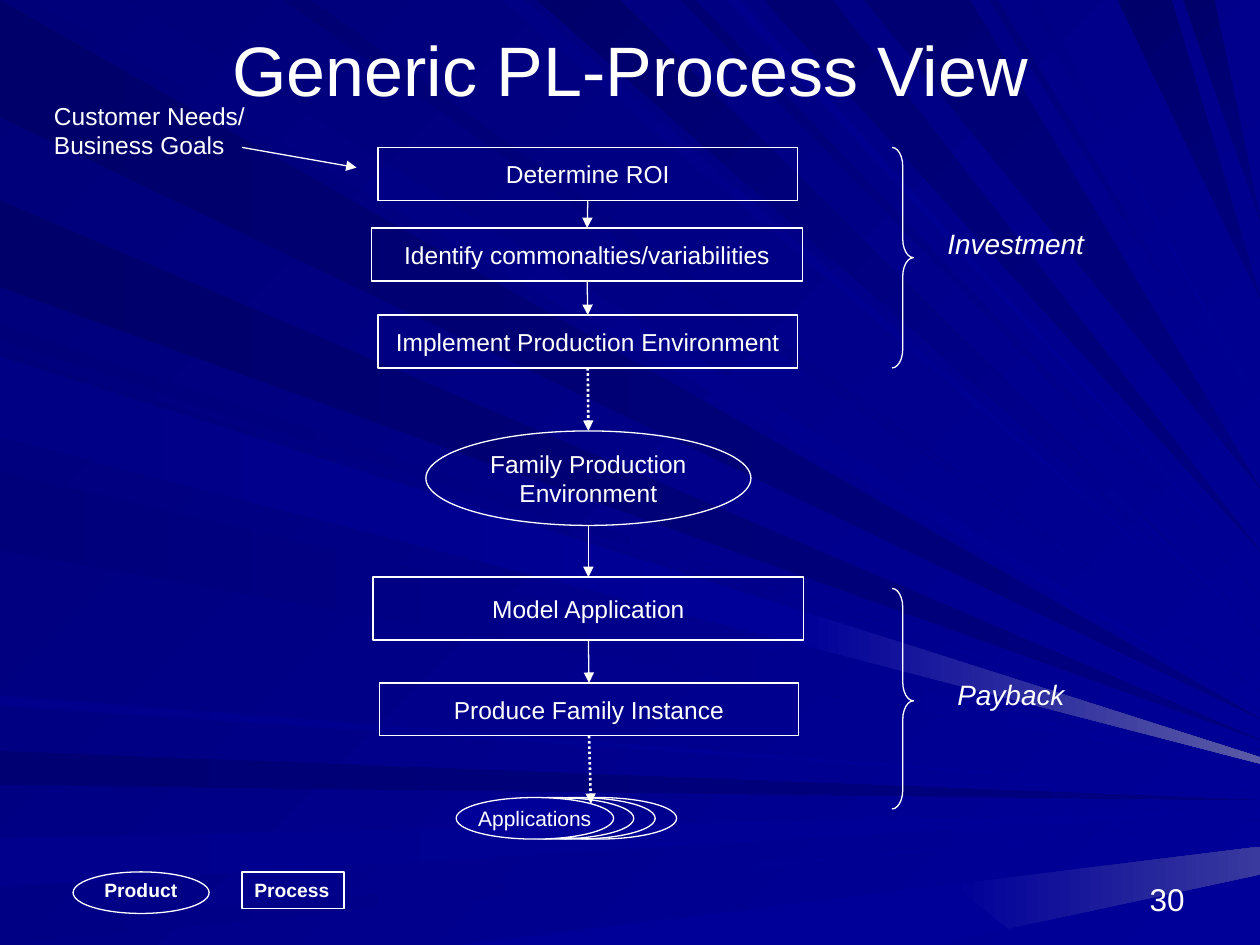
"""Build the slide with the generic product line process on a blue ray background."""
from itertools import pairwise
from math import sqrt

from lxml import etree
from pptx import Presentation
from pptx import util as u
from pptx.dml.color import RGBColor
from pptx.enum import dml, shapes, text
from pptx.oxml.ns import qn

COLORS = {"white": "FFFFFF", "night": "000078", "blue": "000099", "navy": "000080",
          "deep": "00006B", "dusk": "000073", "mid": "00007B", "soft": "000085",
          "pale": "00008C", "glow": "5A5AA6", "haze": "39399E"}
RECTANGLE = shapes.MSO_SHAPE.RECTANGLE
OVAL = shapes.MSO_SHAPE.OVAL
LEFT, CENTER, RIGHT = text.PP_ALIGN.LEFT, text.PP_ALIGN.CENTER, text.PP_ALIGN.RIGHT
TOP, MIDDLE, BOTTOM = text.MSO_ANCHOR.TOP, text.MSO_ANCHOR.MIDDLE, text.MSO_ANCHOR.BOTTOM

LEFT_RAYS = [
    (0, 0.93, "deep", "navy"), (5.96, 6.23, "dusk", "navy"), (6.65, 7.04, "pale", "blue"),
    (7.35, 7.5, "soft", "blue"), (2.58, 2.7, "night", "blue"), (1.59, 2.28, "deep", "navy"),
    (2.78, 3.42, "mid", "blue"), (3.74, 4.37, "mid", "blue"), (5.52, 5.6, "pale", "blue"),
]
TOP_RAYS = [
    (0.26, 1.01, "mid", "blue"), (3.98, 4.16, "soft", "blue"), (4.26, 4.92, "deep", "blue"),
    (5.4, 5.52, "dusk", "blue"), (6.06, 6.61, "dusk", "navy"), (8.87, 9.3, "deep", "navy"),
    (9.39, 9.64, "deep", "navy"), (2.25, 2.47, "dusk", "blue"), (5.77, 5.88, "pale", "blue"),
    (6.86, 7.7, "dusk", "navy"), (7.85, 7.92, "night", "blue"), (8.15, 8.24, "soft", "blue"),
]

STEPS = [
    ("Determine ROI", RECTANGLE, (3, 1.17, 3.33, 0.42), False),
    ("Identify commonalties/variabilities", RECTANGLE, (2.95, 1.81, 3.42, 0.42), False),
    ("Implement Production Environment", RECTANGLE, (3, 2.5, 3.33, 0.42), True),
    ("Family Production\nEnvironment", OVAL, (3.38, 3.42, 2.58, 0.75), False),
    ("Model Application", RECTANGLE, (2.96, 4.58, 3.42, 0.5), False),
    ("Produce Family Instance", RECTANGLE, (3.01, 5.42, 3.33, 0.42), True),
]


def inches(values):
    return [u.Cm(value * 2.54) for value in values]


def rgb(name):
    return RGBColor.from_string(COLORS[name])


def paint(fill, start, end, angle=0):
    if start == end:
        fill.solid()
        fill.fore_color.rgb = rgb(start)
        return
    fill.gradient()
    fill.gradient_angle = (360 - angle) % 360
    for stop, color in zip(fill.gradient_stops, (start, end)):
        stop.color.rgb = rgb(color)


def add_ray(slide, corners, start, end, angle=0):
    points = [inches(corner) for corner in corners]
    builder = slide.shapes.build_freeform(*points[0])
    builder.add_line_segments(points[1:], close=True)
    ray = builder.convert_to_shape()
    ray.shadow.inherit = False
    ray.line.fill.background()
    paint(ray.fill, start, end, angle)


def add_rays(slide):
    for upper, lower, start, end in LEFT_RAYS:
        tip = 5.65 + 0.115 * (upper + lower) / 2
        add_ray(slide, [(0, upper), (10, tip), (0, lower)], start, end)
    for near, far, start, end in TOP_RAYS:
        tip = 5.65 * sqrt(1 - ((near + far) / 20) ** 2)
        add_ray(slide, [(near, 0), (far, 0), (10, tip)], start, end, 45)
    add_ray(slide, [(3.64, 7.5), (7.56, 7.02), (8, 7.37), (7.42, 7.5)], "blue", "blue")
    add_ray(slide, [(7.56, 7.02), (10, 6.72), (10, 6.94), (8, 7.37)], "blue", "haze")
    add_ray(slide, [(0, 2.83), (6.37, 4.85), (6.33, 5.11), (0, 3.47)], "soft", "blue")
    add_ray(slide, [(6.37, 4.85), (10, 6.01), (10, 6.06), (6.33, 5.11)], "blue", "glow")


def write(shape, wording, size, align=LEFT, anchor=TOP, wrap=False, bold=False, italic=False):
    frame = shape.text_frame
    frame.word_wrap = wrap
    frame.vertical_anchor = anchor
    paragraph = frame.paragraphs[0]
    paragraph.text = wording
    paragraph.alignment = align
    font = paragraph.font
    font.name, font.size = "Arial", u.Pt(size)
    font.bold, font.italic = bold, italic
    font.color.rgb = rgb("white")


def add_label(slide, box, wording, size, **style):
    write(slide.shapes.add_textbox(*inches(box)), wording, size, **style)


def add_outline(slide, preset, box, fill=None, width=0.75):
    shape = slide.shapes.add_shape(preset, *inches(box))
    shape.shadow.inherit = False
    if fill:
        paint(shape.fill, fill, fill)
    else:
        shape.fill.background()
    shape.line.color.rgb = rgb("white")
    shape.line.width = u.Pt(width)
    return shape


def add_arrow(slide, start, end, dotted=False):
    arrow = slide.shapes.add_connector(shapes.MSO_CONNECTOR.STRAIGHT, *inches(start + end))
    arrow.line.color.rgb = rgb("white")
    arrow.line.width = u.Pt(1.5 if dotted else 0.75)
    if dotted:
        arrow.line.dash_style = dml.MSO_LINE.ROUND_DOT
    properties = arrow.element.spPr
    etree.SubElement(properties.find(qn("a:ln")), qn("a:tailEnd"), type="triangle")
    etree.SubElement(properties, qn("a:effectLst"))


def add_flow(slide):
    for wording, preset, box, _ in STEPS:
        write(add_outline(slide, preset, box), wording, 14, CENTER, MIDDLE)
    for left in (3.78, 3.95, 4.12):
        add_outline(slide, OVAL, (left, 6.33, 1.25, 0.33))
    applications = add_outline(slide, OVAL, (3.62, 6.33, 1.25, 0.33), fill="blue")
    write(applications, "Applications", 12, CENTER, MIDDLE)
    starts = [(left + width / 2, top + height) for _, _, (left, top, width, height), _ in STEPS]
    ends = [(box[0] + box[2] / 2, box[1]) for _, (_, _, box, _) in pairwise(STEPS)]
    for step, start, end in zip(STEPS, starts, ends + [(4.69, 6.38)]):
        add_arrow(slide, start, end, dotted=step[3])


def add_phase(slide, top, middle, label_box, wording):
    brace = add_outline(slide, shapes.MSO_SHAPE.RIGHT_BRACE, (7.08, top, 0.17, 1.75))
    brace.adjustments[0], brace.adjustments[1] = 0.875, middle
    add_label(slide, label_box, wording, 16, italic=True)


def add_legend(slide):
    add_outline(slide, OVAL, (0.58, 6.92, 1.08, 0.33))
    add_label(slide, (0.73, 6.92, 0.79, 0.29), "Product", 11, bold=True)
    process = add_outline(slide, RECTANGLE, (1.92, 6.92, 0.81, 0.29), width=1)
    write(process, "Process", 11, bold=True)


def main():
    presentation = Presentation()
    presentation.slide_width, presentation.slide_height = inches((10, 7.5))
    slide = presentation.slides.add_slide(presentation.slide_layouts[6])
    paint(slide.background.fill, "night", "blue", 45)
    add_rays(slide)
    add_label(slide, (0.75, 0.25, 8.5, 0.58), "Generic PL-Process View", 40,
              align=CENTER, anchor=MIDDLE, wrap=True)
    add_label(slide, (7.17, 6.83, 2.33, 0.5), "30", 18, align=RIGHT, anchor=BOTTOM, wrap=True)
    add_label(slide, (0.33, 0.75, 1.83, 0.57), "Customer Needs/\nBusiness Goals", 14, wrap=True)
    add_flow(slide)
    add_arrow(slide, (1.92, 1.17), (2.83, 1.33))
    add_phase(slide, 1.17, 0.5, (7.42, 1.75, 1.35, 0.37), "Investment")
    add_phase(slide, 4.67, 0.51, (7.5, 5.33, 1.12, 0.37), "Payback")
    add_legend(slide)
    presentation.save("out.pptx")


main()
